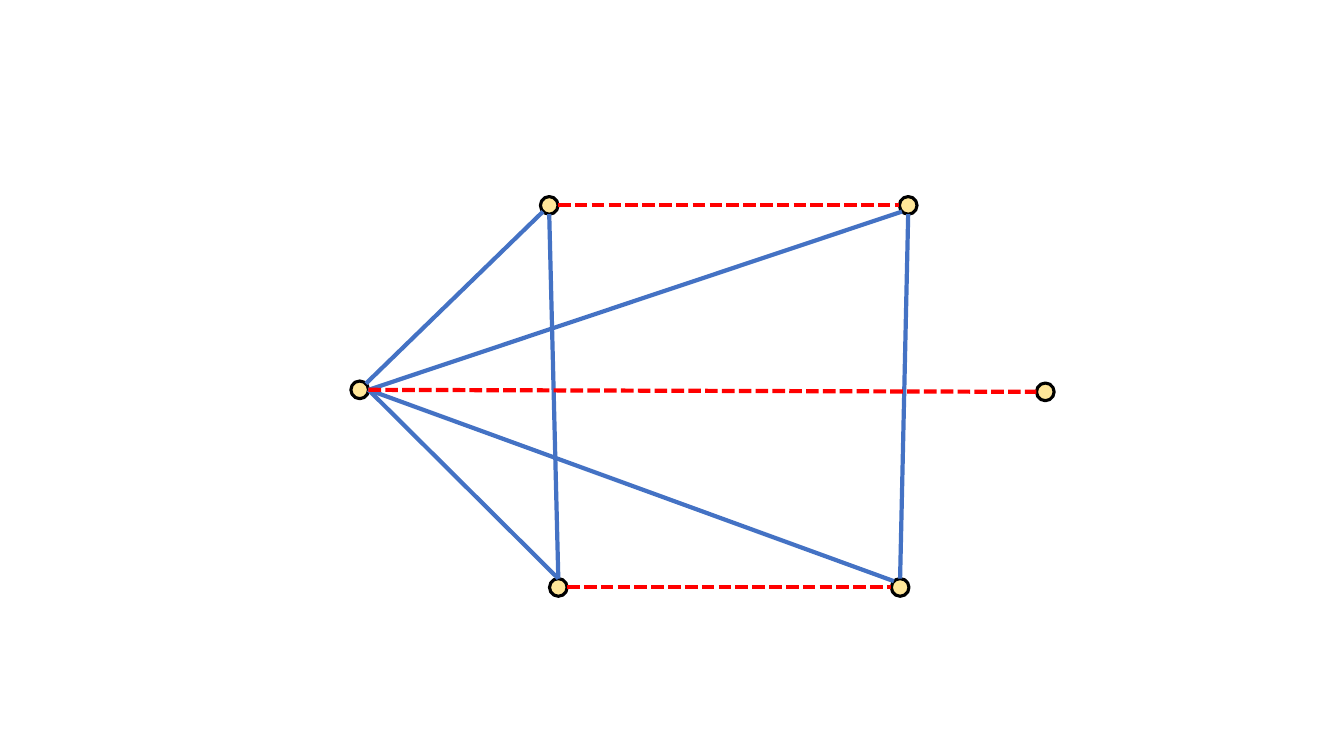
from enum import Enum
from math import cos, radians, sin
from typing import NamedTuple

from lxml import etree
from pptx import Presentation
from pptx import util as u
from pptx.dml.color import RGBColor
from pptx.enum import dml, shapes
from pptx.oxml import ns

PX = 4572  # EMU per px, 200 px to the inch
SIZE = 35
CREAM = RGBColor(0xFF, 0xE6, 0x99)
BLACK = RGBColor(0, 0, 0)
BLUE = RGBColor(0x44, 0x72, 0xC4)
RED = RGBColor(0xFF, 0, 0)


class Node(NamedTuple):
    left: int
    top: int


class Site(Enum):
    """Places on a node's rim, as clockwise degrees from the right."""
    RIGHT = 0
    BASE = 90
    LOW_LEFT = 135
    LEFT = 180
    UP_LEFT = 225
    TOP = 270
    UP_RIGHT = 315


class Edge(NamedTuple):
    start: Node
    leave: Site
    end: Node
    reach: Site
    dashed: bool = False


HUB = Node(696, 756)
LOW_NEAR = Node(1090, 1148)
TOP_NEAR = Node(1072, 390)
LOW_FAR = Node(1768, 1148)
TOP_FAR = Node(1784, 390)
TIP = Node(2056, 760)
NODES = [HUB, LOW_NEAR, TOP_NEAR, LOW_FAR, TOP_FAR, TIP]

EDGES = [
    Edge(HUB, Site.UP_RIGHT, TOP_NEAR, Site.LOW_LEFT),
    Edge(HUB, Site.RIGHT, TOP_FAR, Site.LOW_LEFT),
    Edge(TOP_NEAR, Site.RIGHT, TOP_FAR, Site.LEFT, dashed=True),
    Edge(HUB, Site.RIGHT, LOW_NEAR, Site.TOP),
    Edge(TOP_NEAR, Site.BASE, LOW_NEAR, Site.TOP),
    Edge(TOP_FAR, Site.BASE, LOW_FAR, Site.TOP),
    Edge(LOW_NEAR, Site.RIGHT, LOW_FAR, Site.LEFT, dashed=True),
    Edge(HUB, Site.RIGHT, LOW_FAR, Site.UP_LEFT),
    Edge(HUB, Site.RIGHT, TIP, Site.LEFT, dashed=True),
]


def px(size: float) -> u.Emu:
    return u.Emu(round(size * PX))


def rim(node: Node, site: Site) -> tuple[u.Emu, u.Emu]:
    """Give the point where an edge meets the node's outline."""
    turn = radians(site.value)
    half = SIZE / 2
    return (px(node.left + half * (1 + cos(turn))),
            px(node.top + half * (1 + sin(turn))))


def draw_node(slide, node: Node) -> None:
    dot = slide.shapes.add_shape(shapes.MSO_SHAPE.OVAL, px(node.left),
                                 px(node.top), px(SIZE), px(SIZE))
    dot.shadow.inherit = False
    dot.fill.solid()
    dot.fill.fore_color.rgb = CREAM
    dot.line.color.rgb = BLACK
    dot.line.width = u.Pt(2.25)


def draw_edge(slide, edge: Edge) -> None:
    link = slide.shapes.add_connector(
        shapes.MSO_CONNECTOR.STRAIGHT,
        *rim(edge.start, edge.leave), *rim(edge.end, edge.reach))
    link.line.color.rgb = RED if edge.dashed else BLUE
    link.line.width = u.Pt(3)
    if edge.dashed:
        # python-pptx writes SQUARE_DOT as the sysDash preset
        link.line.dash_style = dml.MSO_LINE.SQUARE_DOT
        dash = link.line._ln.find(ns.qn("a:prstDash"))
        dash.set("val", "sysDash")
    etree.SubElement(link._element.spPr, ns.qn("a:effectLst"))


def main() -> None:
    deck = Presentation()
    deck.slide_width = u.Inches(13.33)
    deck.slide_height = u.Inches(7.5)
    slide = deck.slides.add_slide(deck.slide_layouts[6])
    for node in NODES:
        draw_node(slide, node)
    for edge in EDGES:
        draw_edge(slide, edge)
    deck.save("out.pptx")


if __name__ == "__main__":
    main()
